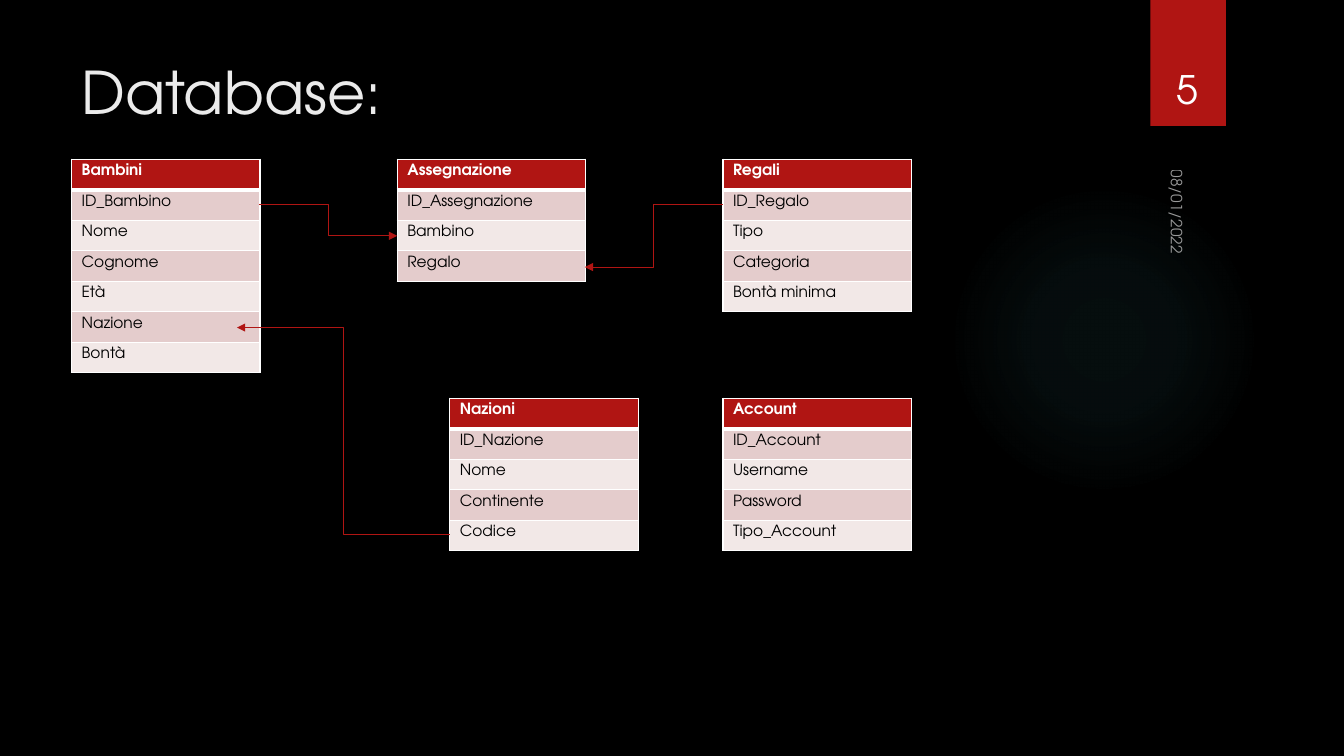
import pptx
import pptx.dml.color
import pptx.enum.shapes
import pptx.enum.text
import pptx.oxml
import pptx.oxml.ns
import pptx.util
from pptx.util import Inches

FONT = "TeX Gyre Adventor"
RED, WHITE, BLACK, TEAL = "B01513", "FFFFFF", "000000", "50B9C1"
BANDS = ["E4CCCC", "F2E8E7"]
TABLE_WIDTH = 1.87
ROW_HEIGHT = Inches(2.12) // 7
NAMESPACE = pptx.oxml.ns.nsdecls("a")


def color(value):
    return pptx.dml.color.RGBColor.from_string(value)


def write(text_frame, text, size, text_color, bold=False):
    """Fill a text frame with one formatted paragraph and return its run."""
    text_frame.text = text
    run = text_frame.paragraphs[0].runs[0]
    run.font.name = FONT
    run.font.size = pptx.util.Pt(size)
    run.font.bold = bold
    run.font.color.rgb = color(text_color)
    return run


presentation = pptx.Presentation()
presentation.slide_width = Inches(13.33)
presentation.slide_height = Inches(7.5)
slide = presentation.slides.add_slide(presentation.slide_layouts[6])
slide.background.fill.solid()
slide.background.fill.fore_color.rgb = color(BLACK)
shapes = slide.shapes

# Soft glow and red page tab
glow = shapes.add_shape(pptx.enum.shapes.MSO_SHAPE.OVAL,
                        Inches(9.41), Inches(1.83), Inches(3.08), Inches(3.08))
glow.shadow.inherit = False
glow.line.fill.background()
stops = "".join(
    f'<a:gs pos="{position * 1000}"><a:srgbClr val="{TEAL}">'
    f'<a:alpha val="{opacity * 1000}"/></a:srgbClr></a:gs>'
    for position, opacity in [(0, 7), (36, 6), (69, 0), (100, 0)])
gradient = pptx.oxml.parse_xml(
    f'<a:gradFill {NAMESPACE}><a:gsLst>{stops}</a:gsLst><a:path path="circle">'
    '<a:fillToRect l="50000" t="50000" r="50000" b="50000"/></a:path></a:gradFill>')
glow._element.spPr.find(pptx.oxml.ns.qn("a:prstGeom")).addnext(gradient)

page_tab = shapes.add_shape(pptx.enum.shapes.MSO_SHAPE.RECTANGLE,
                            Inches(11.41), Inches(0), Inches(0.75), Inches(1.25))
page_tab.shadow.inherit = False
page_tab.fill.solid()
page_tab.fill.fore_color.rgb = color(RED)
page_tab.line.fill.background()

# Title, date and page number
title = shapes.add_textbox(Inches(0.71), Inches(0.5), Inches(10.29), Inches(1.53))
title.text_frame.word_wrap = True
write(title.text_frame, "Database:", 42, "EBEBEB")

date = shapes.add_textbox(Inches(11.11), Inches(1.96), Inches(1.08), Inches(0.33))
date.rotation = 90
date.text_frame.word_wrap = True
date_run = write(date.text_frame, "08/01/2022", 11, WHITE)
date_color = date_run._r.find(".//" + pptx.oxml.ns.qn("a:srgbClr"))
date_color.append(pptx.oxml.parse_xml(f'<a:alpha {NAMESPACE} val="60000"/>'))

page_number = shapes.add_textbox(Inches(11.32), Inches(0.32), Inches(0.92), Inches(0.84))
page_number.text_frame.word_wrap = True
page_number.text_frame.vertical_anchor = pptx.enum.text.MSO_ANCHOR.BOTTOM
write(page_number.text_frame, "5", 28, WHITE)
page_number.text_frame.paragraphs[0].alignment = pptx.enum.text.PP_ALIGN.CENTER

# Database tables: left, top, header and fields
entities = [
    (0.71, 1.58, ["Bambini", "ID_Bambino", "Nome", "Cognome", "Età", "Nazione", "Bontà"]),
    (3.94, 1.58, ["Assegnazione", "ID_Assegnazione", "Bambino", "Regalo"]),
    (7.17, 1.58, ["Regali", "ID_Regalo", "Tipo", "Categoria", "Bontà minima"]),
    (4.46, 3.95, ["Nazioni", "ID_Nazione", "Nome", "Continente", "Codice"]),
    (7.17, 3.95, ["Account", "ID_Account", "Username", "Password", "Tipo_Account"]),
]
for left, top, names in entities:
    frame = shapes.add_table(len(names), 1, Inches(left), Inches(top),
                             Inches(TABLE_WIDTH), ROW_HEIGHT * len(names))
    table = frame.table
    table.horz_banding = False
    for index, name in enumerate(names):
        table.rows[index].height = ROW_HEIGHT
        cell = table.cell(index, 0)
        is_header = index == 0
        write(cell.text_frame, name, 11, WHITE if is_header else BLACK, is_header)
        properties = cell._tc.get_or_add_tcPr()
        for side in "LRTB":
            under_header = (index, side) in [(0, "B"), (1, "T")]
            width = pptx.util.Pt(3 if under_header else 1)
            properties.append(pptx.oxml.parse_xml(
                f'<a:ln{side} {NAMESPACE} w="{width}"><a:solidFill>'
                f'<a:srgbClr val="{WHITE}"/></a:solidFill></a:ln{side}>'))
        cell.fill.solid()
        cell.fill.fore_color.rgb = color(RED if is_header else BANDS[(index - 1) % 2])

# Relations between keys: start and end points
relations = [
    (7.17, 2.03, 5.8, 2.65),
    (2.57, 2.03, 3.94, 2.34),
    (4.46, 5.3, 2.35, 3.25),
]
for points in relations:
    relation = shapes.add_connector(pptx.enum.shapes.MSO_CONNECTOR.ELBOW,
                                    *[Inches(value) for value in points])
    relation.line.color.rgb = color(RED)
    relation.line.width = pptx.util.Pt(0.75)
    relation.line._get_or_add_ln().append(
        pptx.oxml.parse_xml(f'<a:tailEnd {NAMESPACE} type="triangle"/>'))
    relation._element.spPr.append(pptx.oxml.parse_xml(f"<a:effectLst {NAMESPACE}/>"))

presentation.save("out.pptx")
